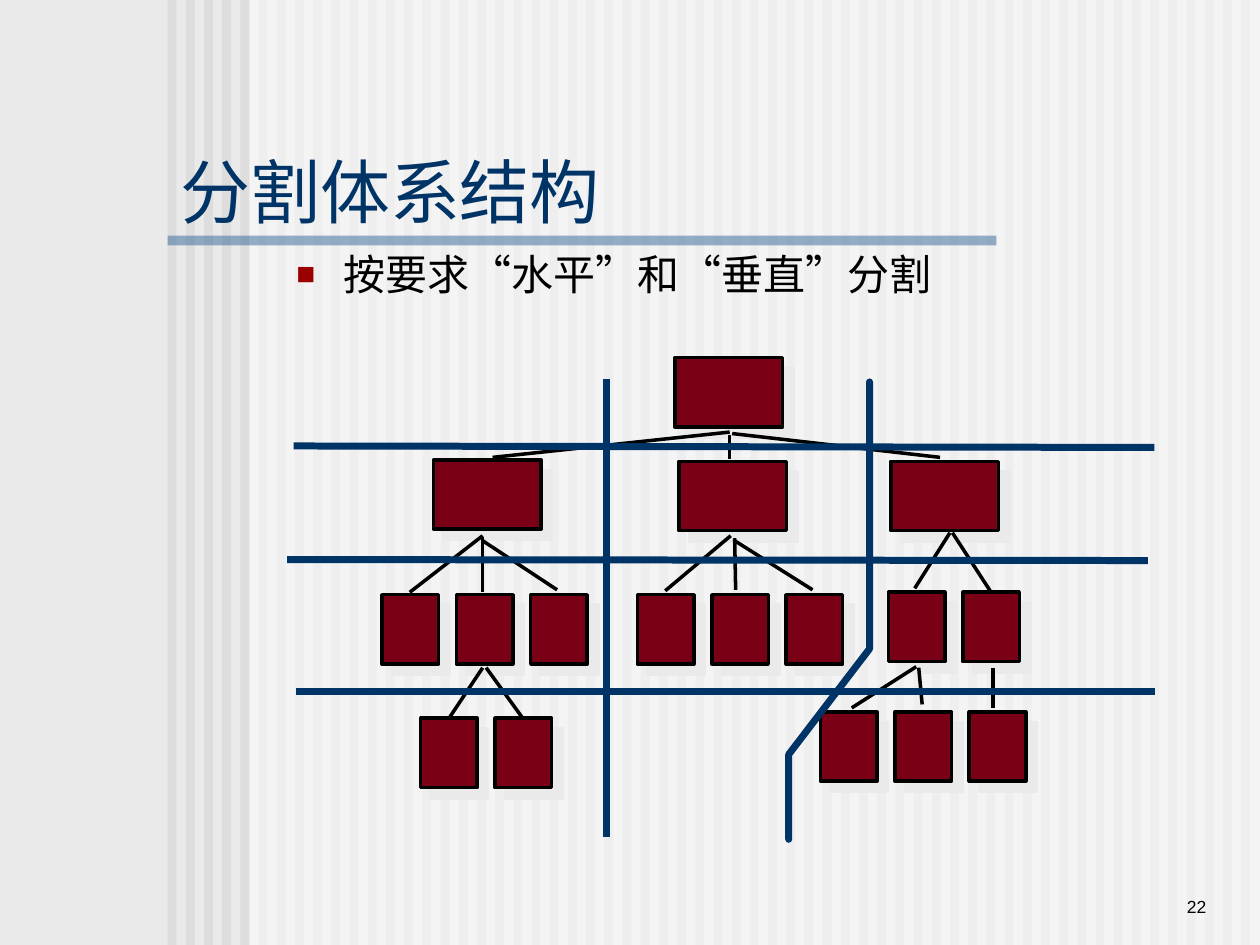
from lxml import etree
from pptx import Presentation
from pptx.dml.color import RGBColor
from pptx.enum.shapes import MSO_CONNECTOR as Connector, MSO_SHAPE as Shape
from pptx.enum.text import MSO_ANCHOR as Anchor, MSO_AUTO_SIZE as AutoSize, PP_ALIGN as Align
from pptx.oxml.ns import qn
from pptx.util import Cm, Pt

# Content
TITLE = "分割体系结构"
BULLET = "按要求“水平”和“垂直”分割"
PAGE_NUMBER = "22"

# Theme: colours, type sizes (points) and line widths (points)
THEME = {
    "font": "Arial", "title": 40, "body": 24, "number": 10,
    "background": "EAEAEA", "stripe": "DDDDDD", "panel": "FFFFFF", "rule": "336699",
    "navy": "003366", "bullet": "9A0000", "text": "000000",
    "module": "790015", "shadow": "EAEAEA", "branch_width": 2, "cut_width": 4,
}

# Geometry in centimetres
WIDTH, HEIGHT = 25.4, 19.05
STRIPE_COUNT, STRIPE_WIDTH = 60, 0.18
FIRST_STRIPE, LAST_STRIPE = 3.38, 25.02
MODULE_HEIGHT, LARGE_WIDTH, SMALL_WIDTH, SMALL_PITCH = 1.4, 2.17, 1.14, 1.5

LARGE_MODULES = [(13.61, 7.21), (8.74, 9.27), (13.69, 9.3), (17.96, 9.3)]
# left, top, number of modules side by side
SMALL_ROWS = [(7.7, 11.99, 3), (12.85, 11.99, 3), (17.91, 11.94, 2),
              (16.54, 14.35, 3), (8.48, 14.48, 2)]
# x and y of the start, x and y of the end
BRANCHES = [
    (14.71, 8.71, 9.93, 9.22), (14.71, 8.76, 14.71, 9.25), (14.76, 8.74, 18.95, 9.22),
    (9.73, 10.8, 8.26, 11.94), (9.73, 10.82, 9.73, 11.94), (9.73, 10.9, 11.23, 11.89),
    (14.73, 10.8, 13.41, 11.91), (14.81, 10.85, 14.83, 11.89), (14.81, 10.9, 16.38, 11.89),
    (19.15, 10.74, 18.44, 11.86), (19.2, 10.74, 19.96, 11.91),
    (18.47, 13.44, 17.17, 14.27), (18.52, 13.46, 18.59, 14.2), (20.02, 13.46, 20.02, 14.27),
    (9.73, 13.46, 9.07, 14.45), (9.8, 13.46, 10.54, 14.48),
]
CUTS = [(5.92, 8.99, 23.27, 9.02), (5.79, 11.28, 23.14, 11.3),
        (5.97, 13.94, 23.29, 13.94), (12.22, 7.65, 12.22, 16.87)]
BENT_CUT = [(17.53, 7.7), (17.53, 13.08), (15.9, 15.21), (15.9, 16.92)]


def color(name):
    return RGBColor.from_string(THEME[name])


def add_block(slide, left, top, width, height, fill, alpha=None):
    shape = slide.shapes.add_shape(Shape.RECTANGLE, Cm(left), Cm(top), Cm(width), Cm(height))
    shape.shadow.inherit = False
    shape.fill.solid()
    shape.fill.fore_color.rgb = color(fill)
    shape.line.fill.background()
    if alpha:
        fill_color = shape._element.spPr.find(".//" + qn("a:srgbClr"))
        etree.SubElement(fill_color, qn("a:alpha"), val=str(alpha * 1000))
    return shape


def add_module(slide, left, top, width):
    shape = add_block(slide, left, top, width, MODULE_HEIGHT, "module")
    shape.line.color.rgb = color("text")
    shape.line.width = Pt(THEME["branch_width"])
    effects = shape._element.spPr.find(qn("a:effectLst"))
    shadow = etree.SubElement(effects, qn("a:outerShdw"), blurRad="0", dist=str(Pt(8.5)),
                              dir="2700000", algn="ctr", rotWithShape="0")
    etree.SubElement(shadow, qn("a:srgbClr"), val=THEME["shadow"])


def add_line(slide, ends, line_color, width):
    line = slide.shapes.add_connector(Connector.STRAIGHT, *(Cm(value) for value in ends))
    line.line.color.rgb = color(line_color)
    line.line.width = Pt(width)
    etree.SubElement(line._element.spPr, qn("a:effectLst"))


def write(shape, box, text, size, text_color, anchor, align=Align.LEFT):
    shape.left, shape.top, shape.width, shape.height = (Cm(value) for value in box)
    frame = shape.text_frame
    frame.word_wrap = True
    frame.auto_size = AutoSize.NONE
    frame.vertical_anchor = anchor
    paragraph = frame.paragraphs[0]
    paragraph.text = text
    paragraph.alignment = align
    paragraph.space_before = Pt(0)
    font = paragraph.font
    font.name, font.size, font.color.rgb = THEME["font"], Pt(THEME[size]), color(text_color)


def add_bullet(paragraph):
    properties = paragraph._p.get_or_add_pPr()
    properties.set("marL", str(Cm(0.95)))
    properties.set("indent", str(-Cm(0.95)))
    bullet_color = etree.SubElement(properties, qn("a:buClr"))
    etree.SubElement(bullet_color, qn("a:srgbClr"), val=THEME["bullet"])
    etree.SubElement(properties, qn("a:buSzPct"), val="75000")
    etree.SubElement(properties, qn("a:buFont"), typeface=THEME["font"])
    etree.SubElement(properties, qn("a:buChar"), char="■")


def add_backdrop(slide):
    """Draw the stripes, panel and title rule, and keep them on the layout."""
    pitch = (LAST_STRIPE - FIRST_STRIPE) / (STRIPE_COUNT - 1)
    parts = [add_block(slide, FIRST_STRIPE + index * pitch, 0, STRIPE_WIDTH, HEIGHT, "stripe")
             for index in range(STRIPE_COUNT)]
    parts.append(add_block(slide, 5.03, 0, WIDTH - 5.03, HEIGHT, "panel", 50))
    parts.append(add_block(slide, 3.38, 4.75, 16.71, 0.2, "rule", 50))
    layout_tree = slide.slide_layout.shapes._spTree
    for position, part in enumerate(parts, start=2):
        layout_tree.insert(position, part._element)


def main():
    presentation = Presentation()
    presentation.slide_width, presentation.slide_height = Cm(WIDTH), Cm(HEIGHT)
    background = presentation.slide_master.background.fill
    background.solid()
    background.fore_color.rgb = color("background")
    slide = presentation.slides.add_slide(presentation.slide_layouts[1])
    add_backdrop(slide)

    # Title, bullet and page number
    write(slide.shapes.title, (3.38, 3.38, 18.85, 0.91), TITLE, "title", "navy", Anchor.MIDDLE)
    body = slide.placeholders[1]
    add_bullet(body.text_frame.paragraphs[0])
    write(body, (5.72, 4.88, 16.94, 12.4), BULLET, "body", "text", Anchor.TOP)
    number = slide.shapes.add_textbox(0, 0, 0, 0)
    write(number, (20.96, 17.35, 3.61, 1.27), PAGE_NUMBER, "number", "text",
          Anchor.BOTTOM, Align.RIGHT)

    # Module tree
    for left, top in LARGE_MODULES:
        add_module(slide, left, top, LARGE_WIDTH)
    for left, top, count in SMALL_ROWS:
        for index in range(count):
            add_module(slide, left + index * SMALL_PITCH, top, SMALL_WIDTH)
    for ends in BRANCHES:
        add_line(slide, ends, "text", THEME["branch_width"])

    # Horizontal and vertical cuts
    for ends in CUTS:
        add_line(slide, ends, "navy", THEME["cut_width"])
    start, *corners = [(Cm(x), Cm(y)) for x, y in BENT_CUT]
    builder = slide.shapes.build_freeform(*start)
    builder.add_line_segments(corners, close=False)
    bent_cut = builder.convert_to_shape()
    bent_cut.shadow.inherit = False
    bent_cut.fill.background()
    bent_cut.line.color.rgb = color("navy")
    bent_cut.line.width = Pt(THEME["cut_width"])
    outline = bent_cut.line._get_or_add_ln()
    outline.set("cap", "rnd")
    etree.SubElement(outline, qn("a:round"))

    presentation.save("out.pptx")


if __name__ == "__main__":
    main()
